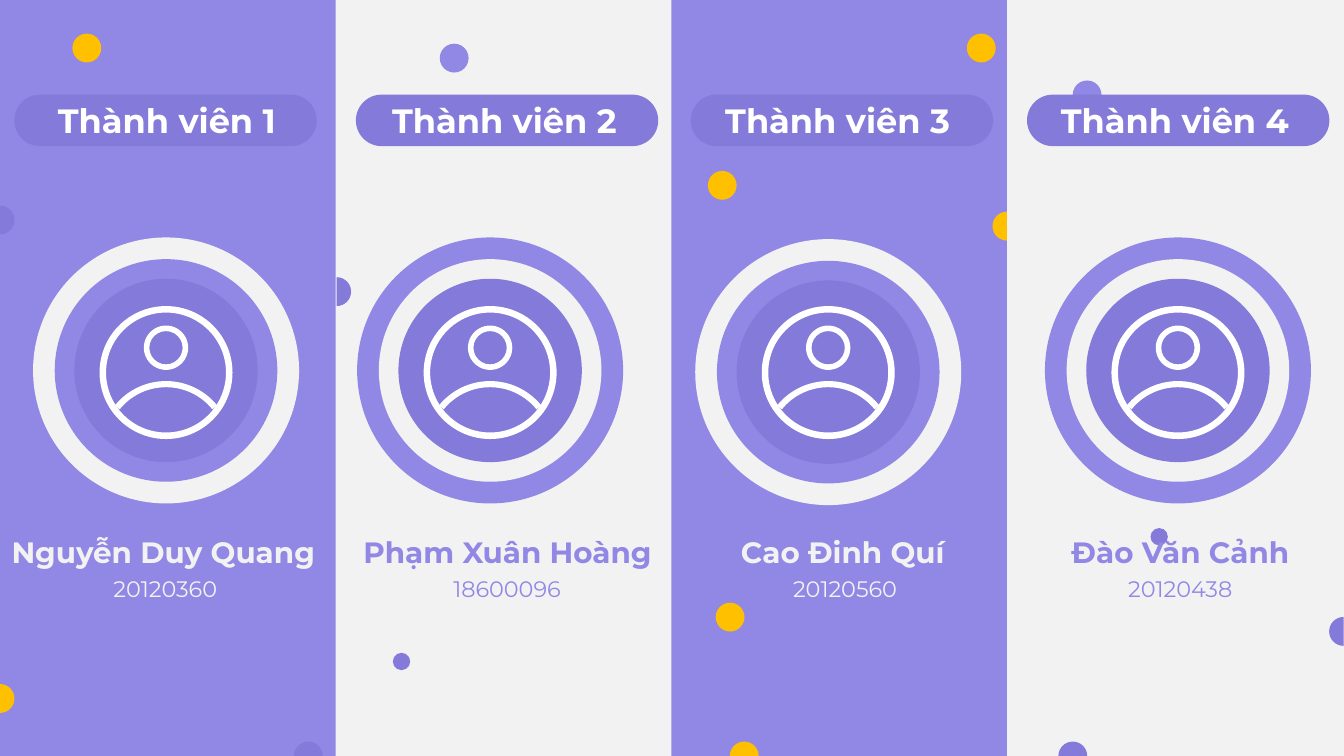
from math import cos, radians, sin, tan

from lxml import etree
from pptx import Presentation
from pptx.dml.color import RGBColor
from pptx.enum import shapes, text
from pptx.oxml import ns
from pptx.util import Pt

COLORS = {
    "violet": "9188E5",
    "deep": "837AD9",
    "pale": "F2F2F2",
    "white": "FFFFFF",
    "amber": "FFC000",
}
FONT = "Montserrat"

MEMBERS = [
    {"title": "Thành viên 1", "name": "Nguyễn Duy Quang", "id": "20120360",
     "pill_x": 118.3, "title_x": 119.2, "ring": (118.6, 264.6), "name_x": 116.6, "id_x": 118.1},
    {"title": "Thành viên 2", "name": "Phạm Xuân Hoàng", "id": "18600096",
     "pill_x": 362.2, "title_x": 360.3, "ring": (350.1, 264.6), "name_x": 362.5, "id_x": 362.2},
    {"title": "Thành viên 3", "name": "Cao Đinh Quí", "id": "20120560",
     "pill_x": 601.4, "title_x": 598.3, "ring": (591.6, 265.8), "name_x": 601.9, "id_x": 603.7},
    {"title": "Thành viên 4", "name": "Đào Văn Cảnh", "id": "20120438",
     "pill_x": 841.6, "title_x": 839.2, "ring": (841.4, 264.6), "name_x": 843.1, "id_x": 843.1},
]

BIG, SMALL = 10.3, 6.2
DOTS = [
    (62, 34.3, BIG, "amber"),
    (521.5, 440.8, BIG, "amber"),
    (515.9, 132.4, BIG, "amber"),
    (700.9, 34.3, BIG, "amber"),
    (324.4, 41.5, BIG, "violet"),
    (776.5, 67.8, BIG, "violet"),
    (828, 383.4, SMALL, "deep"),
    (286.8, 472.5, SMALL, "deep"),
]
RIGHT, UP, LEFT = 0, 270, 180
HALF_DOTS = [
    (0, 498.9, RIGHT, "amber"),
    (0, 157.2, RIGHT, "deep"),
    (640.3, 278.1, LEFT, "deep"),
    (240.5, 208.3, RIGHT, "deep"),
    (719.25, 161.5, LEFT, "amber"),
    (959.7, 451, LEFT, "deep"),
    (766.3, 540, UP, "deep"),
    (531.6, 540, UP, "amber"),
    (220.2, 540, UP, "deep"),
]

SLIDE_W, SLIDE_H = 960, 540
PANEL_W = 239.75
TEXT_W = 246
RING_SIZES = (190, 159, 131)
ICON_Y, HEAD_Y, SHOULDER_Y = 266.1, 248.4, 319.2

prs = Presentation()
prs.slide_width, prs.slide_height = Pt(SLIDE_W), Pt(SLIDE_H)
s = prs.slides.add_slide(prs.slide_layouts[6])


def rgb(color):
    return RGBColor.from_string(COLORS[color])


def paint(sp, color):
    sp.fill.solid()
    sp.fill.fore_color.rgb = rgb(color)
    sp.line.fill.background()
    sp.shadow.inherit = False


def add_shape(kind, cx, cy, w, h, color, adj=None):
    sp = s.shapes.add_shape(kind, Pt(cx - w / 2), Pt(cy - h / 2), Pt(w), Pt(h))
    paint(sp, color)
    if adj is not None:
        sp.adjustments[0] = adj


def arc(cx, cy, radius, start, end):
    step = radians(end - start) / 2
    pull = 4 / 3 * tan(step / 4)
    points = [(cos(radians(start)), sin(radians(start)))]
    for i in range(2):
        a = radians(start) + i * step
        b = a + step
        points += [
            (cos(a) - pull * sin(a), sin(a) + pull * cos(a)),
            (cos(b) + pull * sin(b), sin(b) - pull * cos(b)),
            (cos(b), sin(b)),
        ]
    return [(Pt(cx + radius * x), Pt(cy + radius * y)) for x, y in points]


def add_outline(arcs, color):
    points = sum(arcs, [])
    builder = s.shapes.build_freeform(*points[0], scale=1.0)
    builder.add_line_segments(points[1:], close=True)
    sp = builder.convert_to_shape()
    steps = list(next(sp.element.iter(ns.qn("a:path"))))
    for first in range(0, len(points), 7):
        for i in (first + 1, first + 4):
            curve = etree.Element(ns.qn("a:cubicBezTo"))
            steps[i].addprevious(curve)
            for line in steps[i:i + 3]:
                curve.append(line[0])
                line.getparent().remove(line)
    paint(sp, color)


def add_text(words, cx, top, h, size, color, bold):
    tf = s.shapes.add_textbox(Pt(cx - TEXT_W / 2), Pt(top), Pt(TEXT_W), Pt(h)).text_frame
    tf.word_wrap = True
    p = tf.paragraphs[0]
    p.text = words
    p.alignment = text.PP_ALIGN.CENTER
    p.font.name, p.font.size, p.font.bold = FONT, Pt(size), bold
    p.font.color.rgb = rgb(color)


SHAPE = shapes.MSO_SHAPE
s.background.fill.solid()
s.background.fill.fore_color.rgb = rgb("pale")

for i in range(0, len(MEMBERS), 2):
    add_shape(SHAPE.RECTANGLE, (i + 0.5) * PANEL_W, SLIDE_H / 2, PANEL_W, SLIDE_H, "violet")

for x, y, radius, color in DOTS:
    add_shape(SHAPE.OVAL, x, y, 2 * radius, 2 * radius, color)
for x, y, facing, color in HALF_DOTS:
    add_outline([arc(x, y, BIG, facing - 90, facing + 90)], color)

for i, member in enumerate(MEMBERS):
    panel, accent = ("pale", "violet") if i % 2 else ("violet", "pale")
    add_shape(SHAPE.ROUNDED_RECTANGLE, member["pill_x"], 86, 216, 36.8, "deep", 0.5)
    add_text(member["title"], member["title_x"], 67.7, 36, 24, "white", True)

    x, y = member["ring"]
    for size, color in zip(RING_SIZES, (accent, panel, "deep")):
        add_shape(SHAPE.OVAL, x, y, size, size, color)
    add_shape(SHAPE.DONUT, x, ICON_Y, 95, 95, "white", 0.049)
    add_shape(SHAPE.DONUT, x, HEAD_Y, 31.7, 31.7, "white", 0.125)
    add_outline([arc(x, SHOULDER_Y, 47, 219, 321), arc(x, SHOULDER_Y, 42.6, 321, 219)], "white")

    add_text(member["name"], member["name_x"], 378, 32.4, 21, accent, True)
    add_text(member["id"], member["id_x"], 407.5, 26.6, 16, accent, False)

prs.save("out.pptx")
